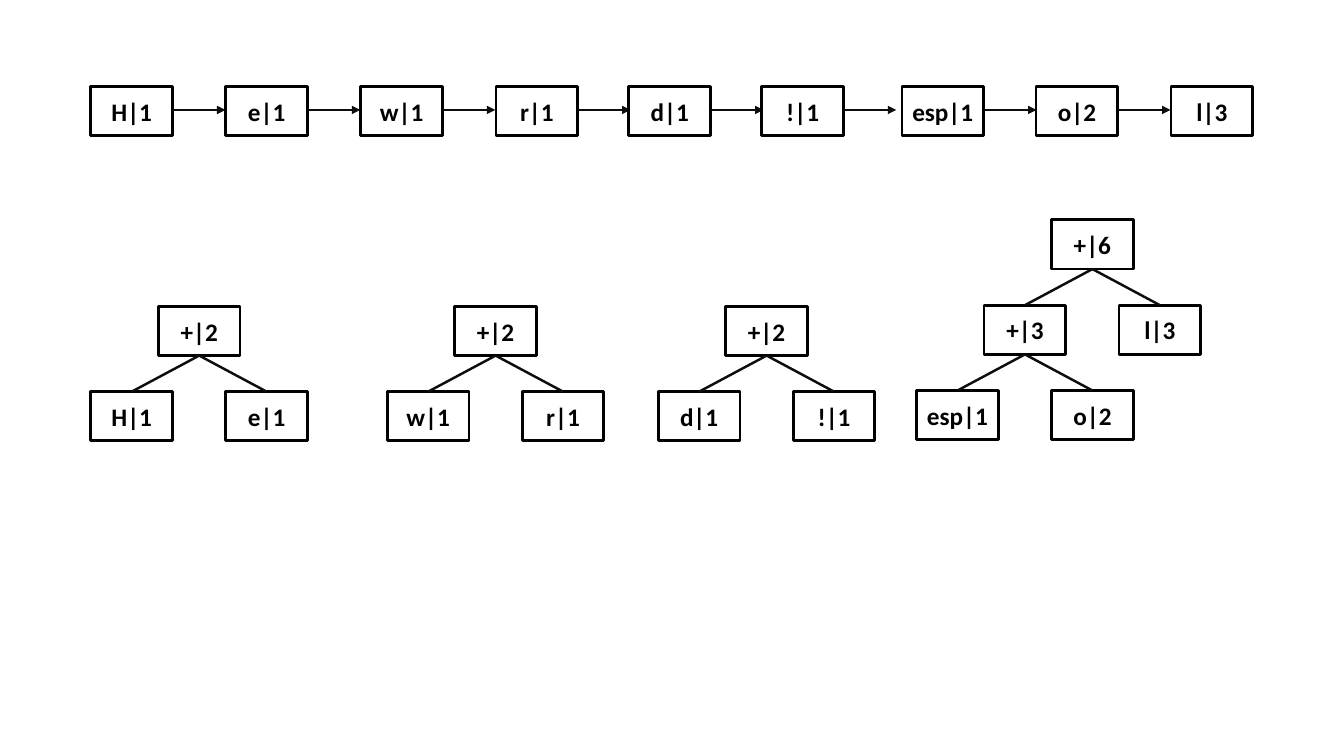
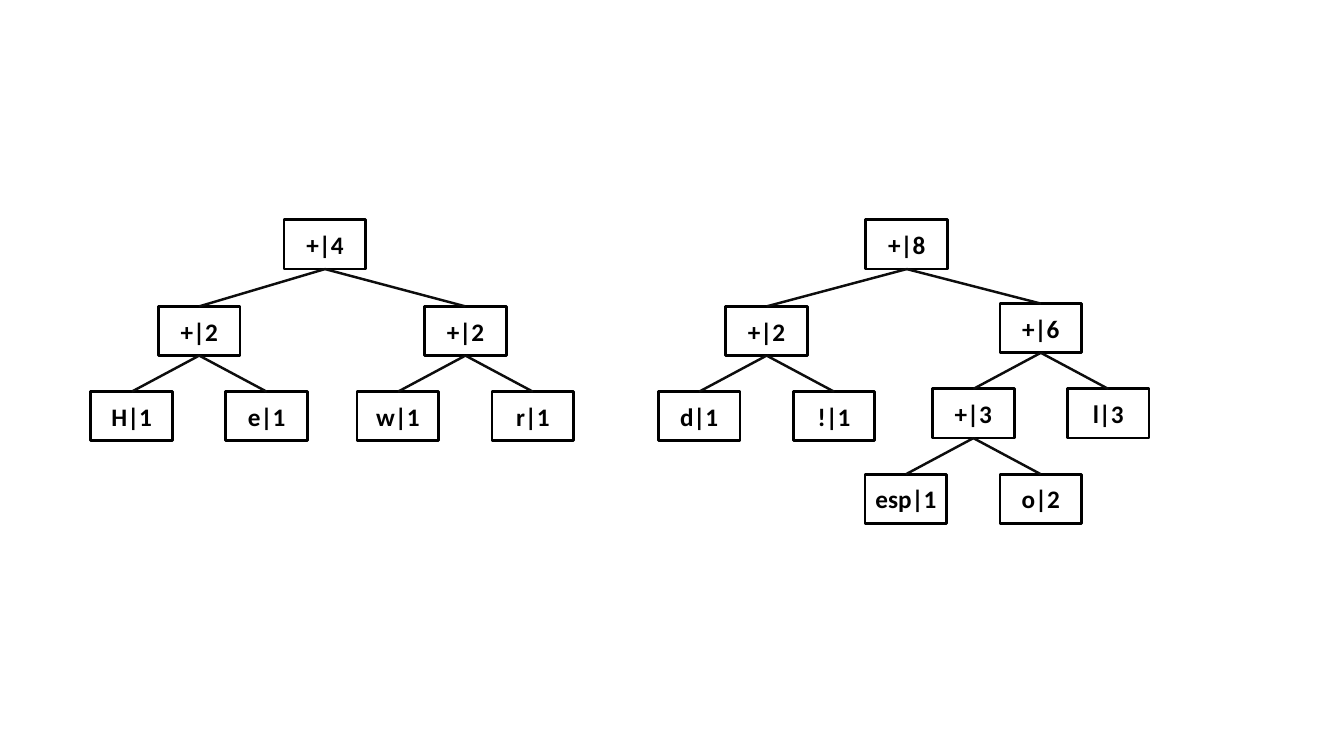
from pptx import Presentation
from pptx.dml.color import RGBColor
from pptx.enum.shapes import MSO_CONNECTOR as CONN, MSO_SHAPE as SHAPE
from pptx.enum.text import MSO_ANCHOR as ANCHOR, PP_ALIGN as ALIGN
from pptx.oxml.ns import qn
from pptx.util import Cm, Pt
from lxml.etree import SubElement

COLORS = {"paper": "FFFFFF", "ink": "000000", "edge": "0D0D0D"}
BOX_W, BOX_H = 2.06, 1.24
SPREAD = 1.7          # sideways offset of a child from its parent
STEP = 2.15           # drop from a parent to its children
ARROW = 1.33
ROOT_Y, PAIR_Y = 5.54, 7.72
TOP, BOTTOM = 0, 2    # connection sites of a rectangle


class Deck:
    font, size = "Calibri", Pt(18)

    def __init__(self):
        self.prs = Presentation()
        self.prs.slide_width, self.prs.slide_height = Cm(33.87), Cm(19.05)

    def new_slide(self):
        self.s = self.prs.slides.add_slide(self.prs.slide_layouts[6])

    def color(self, name):
        return RGBColor.from_string(COLORS[name])

    def box(self, x, y, label):
        sp = self.s.shapes.add_shape(SHAPE.RECTANGLE, Cm(x), Cm(y), Cm(BOX_W), Cm(BOX_H))
        sp.shadow.inherit = False
        sp.fill.solid()
        sp.fill.fore_color.rgb = self.color("paper")
        sp.line.color.rgb = self.color("ink")
        sp.line.width = Pt(2)
        tf = sp.text_frame
        tf.margin_left = tf.margin_right = 0
        tf.vertical_anchor = ANCHOR.MIDDLE
        tf.text = label
        p = tf.paragraphs[0]
        p.alignment = ALIGN.CENTER
        r = p.runs[0]
        r.font.name, r.font.size, r.font.bold = self.font, self.size, True
        r.font.color.rgb = self.color("ink")
        return sp

    def line(self, x1, y1, x2, y2, width):
        cn = self.s.shapes.add_connector(CONN.STRAIGHT, Cm(x1), Cm(y1), Cm(x2), Cm(y2))
        cn.line.color.rgb = self.color("edge")
        cn.line.width = Pt(width)
        SubElement(cn._element.spPr, qn("a:effectLst"))
        return cn

    def arrow(self, x, y):
        cn = self.line(x, y, x + ARROW, y, 2)
        SubElement(cn.line._get_or_add_ln(), qn("a:tailEnd"), type="triangle")

    def fork(self, parent, *children):
        for child in children:
            cn = self.line(0, 0, 0, 0, 1.75)
            cn.begin_connect(parent, BOTTOM)
            cn.end_connect(child, TOP)

    def tree(self, x, y, node):
        """Draw a leaf (text) or a (label, left, right) node; return its box."""
        if isinstance(node, str):
            return self.box(x, y, node)
        label, left, right = node
        children = [self.tree(x + dx, y + STEP, child)
                    for dx, child in ((-SPREAD, left), (SPREAD, right))]
        parent = self.box(x, y, label)
        self.fork(parent, *children)
        return parent


# Subtrees used on both slides
HE = ("+|2", "H|1", "e|1")
WR = ("+|2", "w|1", "r|1")
D_BANG = ("+|2", "d|1", "!|1")
SPACE_O_L = ("+|6", ("+|3", "esp|1", "o|2"), "l|3")

deck = Deck()

# Slide 1: sorted list of frequencies
deck.new_slide()
LIST_Y, ARROW_Y = 2.18, 2.77
frequencies = [("H|1", 2.29), ("e|1", 5.69), ("w|1", 9.09), ("r|1", 12.5), ("d|1", 15.85),
               ("!|1", 19.2), ("esp|1", 22.73), ("o|2", 26.11), ("l|3", 29.51)]
for label, x in frequencies:
    deck.box(x, LIST_Y, label)
    if label != frequencies[-1][0]:
        deck.arrow(x + BOX_W, ARROW_Y)

# Slide 1: first merges
for x, y, node in [(3.99, PAIR_Y, HE), (11.46, PAIR_Y, WR),
                   (18.29, PAIR_Y, D_BANG), (26.5, ROOT_Y, SPACE_O_L)]:
    deck.tree(x, y, node)

# Slide 2: pairs of subtrees joined under a new root
deck.new_slide()
for label, root_x, subtrees in [
    ("+|4", 7.16, [(3.99, PAIR_Y, HE), (10.7, PAIR_Y, WR)]),
    ("+|8", 21.82, [(18.29, PAIR_Y, D_BANG), (25.2, 7.65, SPACE_O_L)]),
]:
    children = [deck.tree(*subtree) for subtree in subtrees]
    deck.fork(deck.box(root_x, ROOT_Y, label), *children)

deck.prs.save("out.pptx")
